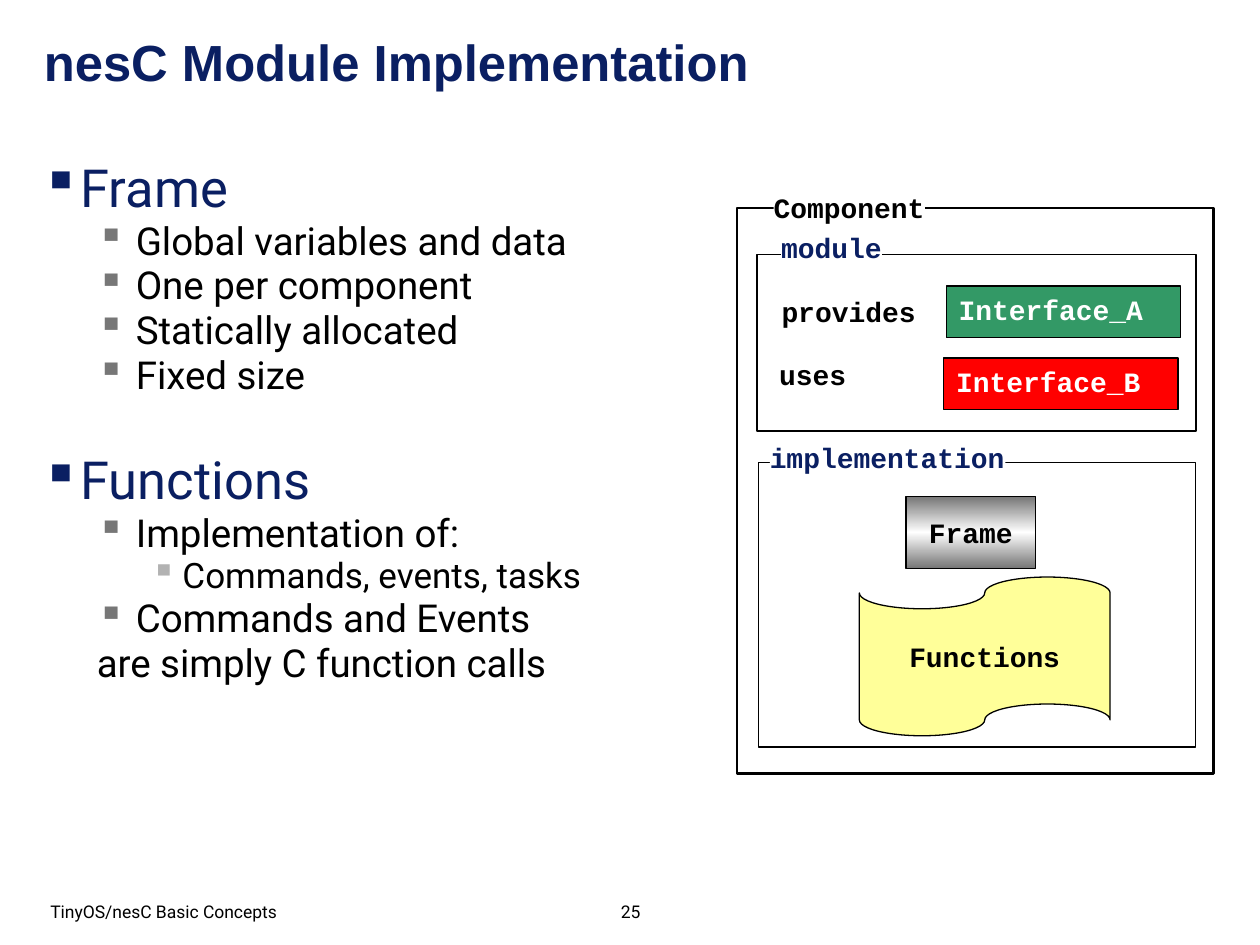
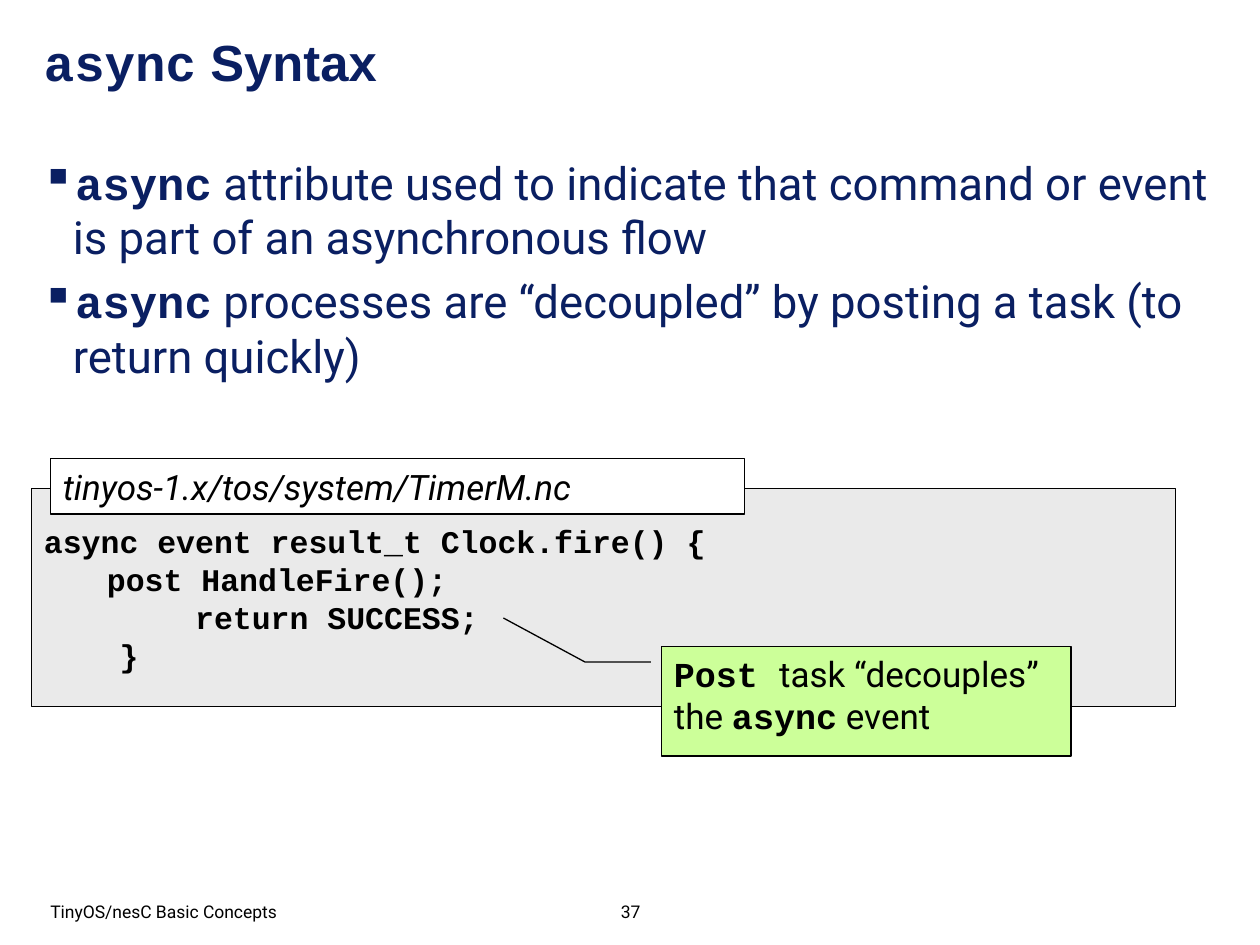
from copy import deepcopy

from lxml import etree
from pptx import Presentation
from pptx.dml.color import RGBColor
from pptx.enum.shapes import MSO_SHAPE
from pptx.enum.text import MSO_ANCHOR, PP_ALIGN
from pptx.oxml.ns import qn
from pptx.util import Inches, Pt

RECT = MSO_SHAPE.RECTANGLE
TAPE = MSO_SHAPE.FLOWCHART_PUNCHED_TAPE
CALLOUT = MSO_SHAPE.LINE_CALLOUT_2
TOP, MIDDLE, BOTTOM = MSO_ANCHOR.TOP, MSO_ANCHOR.MIDDLE, MSO_ANCHOR.BOTTOM
LEFT, CENTER = PP_ALIGN.LEFT, PP_ALIGN.CENTER

# Slide grid: 100 columns by 75 rows of square cells
SLIDE_W, SLIDE_H = Inches(10), Inches(7.5)
CELL = SLIDE_W / 100

NAVY, BLACK, WHITE = "0A1F62", "000000", "FFFFFF"
SANS, HEAD, MONO = "Roboto", "Arial", "Courier New"
INSETS = (1, 0.5, 1, 0.5)

# Outline levels: left margin, hanging indent, line spacing, bullet colour
LEVELS = [
    (2.5, 2.5, 1.0, NAVY),
    (7.5, 3.1, 0.8, "777777"),
    (11.2, 2.5, 0.8, "B2B2B2"),
]


def cells(count):
    return round(count * CELL)


def rgb(hex_colour):
    return RGBColor.from_string(hex_colour)


def style(font, size, colour=BLACK, bold=False, italic=False):
    return dict(font=font, size=size, colour=colour, bold=bold, italic=italic)


CODE = style(MONO, 16, bold=True)
KEYWORD = style(MONO, 16, NAVY, bold=True)
INTERFACE = style(MONO, 16, WHITE, bold=True)
FOOTER = style(SANS, 10)
TITLE = style(HEAD, 29, NAVY, bold=True)


def add_runs(paragraph, runs):
    """Fill a paragraph with (text, style) pairs."""
    for text, look in runs:
        run = paragraph.add_run()
        run.text = text
        run.font.name = look["font"]
        run.font.size = Pt(look["size"])
        run.font.bold = look["bold"]
        run.font.italic = look["italic"]
        run.font.color.rgb = rgb(look["colour"])


def write(shape, lines, anchor=TOP, align=LEFT, insets=INSETS, wrap=True):
    """Write lines of runs into a shape, and return its paragraphs."""
    frame = shape.text_frame
    frame.word_wrap = wrap
    frame.vertical_anchor = anchor
    (frame.margin_left, frame.margin_top,
     frame.margin_right, frame.margin_bottom) = map(cells, insets)
    for number, runs in enumerate(lines):
        paragraph = frame.add_paragraph() if number else frame.paragraphs[0]
        paragraph.alignment = align
        add_runs(paragraph, runs)
    return frame.paragraphs


def text_box(slide, at, runs, **layout):
    write(slide.shapes.add_textbox(*map(cells, at)), [runs], **layout)


def block(slide, at, fill=None, line=BLACK, weight=0.75, kind=RECT):
    shape = slide.shapes.add_shape(kind, *map(cells, at))
    shape.shadow.inherit = False
    if fill:
        shape.fill.solid()
        shape.fill.fore_color.rgb = rgb(fill)
    else:
        shape.fill.background()
    if line:
        shape.line.color.rgb = rgb(line)
        shape.line.width = Pt(weight)
    else:
        shape.line.fill.background()
    return shape


def panel(slide, at, weight, label_at, label, look):
    """Outlined panel whose label interrupts its top edge."""
    block(slide, at, weight=weight)
    write(block(slide, label_at, WHITE, line=None), [[(label, look)]],
          insets=(0, 0, 0, 0), wrap=False)


def shine(shape, edge, middle):
    """Vertical gradient from edge to middle and back."""
    shape.fill.gradient()
    shape.fill.gradient_angle = 90
    first, last = shape.fill.gradient_stops
    first.color.rgb, last.color.rgb = rgb(edge), rgb(edge)
    stops = shape.element.spPr.find(qn("a:gradFill")).find(qn("a:gsLst"))
    centre = deepcopy(stops[0])
    centre.set("pos", "50000")
    centre.find(qn("a:srgbClr")).set("val", middle)
    stops.insert(1, centre)


def set_bullet(paragraph, colour):
    props = paragraph._p.get_or_add_pPr()
    holder = etree.SubElement(props, qn("a:buClr"))
    etree.SubElement(holder, qn("a:srgbClr"), val=colour)
    etree.SubElement(props, qn("a:buChar"), char="▪")


def outline(slide, items):
    """Body text from (level, runs, bulleted, extra space before) items."""
    body = slide.shapes.add_textbox(*map(cells, (2.3, 11.8, 95.3, 57.2)))
    paragraphs = write(body, [runs for _, runs, _, _ in items])
    for number, (paragraph, item) in enumerate(zip(paragraphs, items)):
        level, runs, bulleted, extra = item
        margin, hang, spacing, colour = LEVELS[level]
        paragraph.level = level
        paragraph.line_spacing = spacing
        if number:
            paragraph.space_before = Pt(0.2 * runs[0][1]["size"] + extra)
        props = paragraph._p.get_or_add_pPr()
        props.set("marL", str(cells(margin)))
        props.set("indent", str(-cells(hang)))
        if bulleted:
            set_bullet(paragraph, colour)


def new_slide(deck, title, number):
    """Blank slide with the shared title and footers."""
    slide = deck.slides.add_slide(deck.slide_layouts[6])
    text_box(slide, (2, 70.7, 36.7, 3), [("TinyOS/nesC Basic Concepts", FOOTER)],
             anchor=BOTTOM, insets=(2, 0.5, 1, 0.5))
    text_box(slide, (43.4, 70.7, 13.3, 3), [(str(number), FOOTER)],
             anchor=BOTTOM, align=CENTER)
    text_box(slide, (2.5, 1.7, 90, 6.3), title, anchor=MIDDLE)
    return slide


def component_diagram(slide):
    # Nested panels
    panel(slide, (58.5, 16.5, 37.8, 44.9), 1.5,
          (61.4, 15.1, 12, 2.7), "Component", CODE)
    panel(slide, (60.2, 36.7, 34.7, 22.6), 0.75,
          (61.1, 35, 18.7, 2.7), "implementation", KEYWORD)
    panel(slide, (60.1, 20.2, 34.8, 14), 1,
          (62, 18.3, 8, 2.7), "module", KEYWORD)

    # Implementation parts
    frame = block(slide, (71.9, 39.4, 10.3, 5.7))
    shine(frame, "767676", WHITE)
    functions = block(slide, (68.2, 45.8, 19.9, 12.6), "FFFF99", kind=TAPE)
    for part, name in ((frame, "Frame"), (functions, "Functions")):
        write(part, [[(name, CODE)]], anchor=MIDDLE, align=CENTER, wrap=False)

    # Interfaces the module provides and uses
    interfaces = [
        ("provides", (61, 22.9, 12.7, 3.7), "Interface_A", (75.1, 22.7), "339966"),
        ("uses", (60.8, 27.9, 7.4, 3.7), "Interface_B", (74.9, 28.4), "FF0000"),
    ]
    for role, role_at, name, corner, colour in interfaces:
        text_box(slide, role_at, [(role, CODE)], align=CENTER, wrap=False)
        write(block(slide, (*corner, 18.6, 4.1), colour), [[(name, INTERFACE)]])


def module_slide(deck):
    slide = new_slide(deck, [("nesC Module Implementation", TITLE)], 25)
    looks = [style(SANS, 30, NAVY), style(SANS, 22), style(SANS, 20)]
    points = [
        (0, "Frame", True, 0),
        (1, "Global variables and data", True, 0),
        (1, "One per component", True, 0),
        (1, "Statically allocated", True, 0),
        (1, "Fixed size", True, 0),
        (0, "Functions", True, 23),
        (1, "Implementation of:", True, 0),
        (2, "Commands, events, tasks", True, 0),
        (1, "Commands and Events", True, 0),
        (1, "are simply C function calls", False, 0),
    ]
    outline(slide, [(level, [(text, looks[level])], bulleted, extra)
                    for level, text, bulleted, extra in points])
    component_diagram(slide)


def async_slide(deck):
    title = [("async", dict(TITLE, font=MONO)), (" Syntax", TITLE)]
    slide = new_slide(deck, title, 37)
    keyword, prose = style(MONO, 26, NAVY, bold=True), style(SANS, 26, NAVY)
    points = [
        " attribute used to indicate that command or event is part of an "
        "asynchronous flow",
        " processes are “decoupled” by posting a task (to return quickly)",
    ]
    outline(slide, [(0, [("async", keyword), (text, prose)], True, 0)
                    for text in points])

    # Code listing with its file name
    listing = [
        "async event result_t Clock.fire() {",
        "\tpost HandleFire();",
        "        return SUCCESS;",
        "    }",
    ]
    code = style(MONO, 18, bold=True)
    write(block(slide, (2.5, 38.8, 90.8, 17.3), "EAEAEA"),
          [[(line, code)] for line in listing], anchor=MIDDLE)
    write(block(slide, (4, 36.4, 55.1, 4.4), WHITE),
          [[("tinyos-1.x/tos/system/TimerM.nc", style(SANS, 20, italic=True))]],
          anchor=MIDDLE)

    # Callout on the post statement
    callout = block(slide, (52.5, 51.3, 32.5, 8.7), "CCFF99", kind=CALLOUT)
    leader = (0.143, -0.026, 0.143, -0.187, -0.258, -0.386)
    for index, share in enumerate(leader):
        callout.adjustments[index] = share
    word, note = style(MONO, 20, bold=True), style(SANS, 20)
    write(callout, [[("Post ", word), ("task “decouples” the ", note),
                     ("async", word), (" event", note)]])


def main():
    deck = Presentation()
    deck.slide_width, deck.slide_height = SLIDE_W, SLIDE_H
    module_slide(deck)
    async_slide(deck)
    deck.save("out.pptx")


if __name__ == "__main__":
    main()
